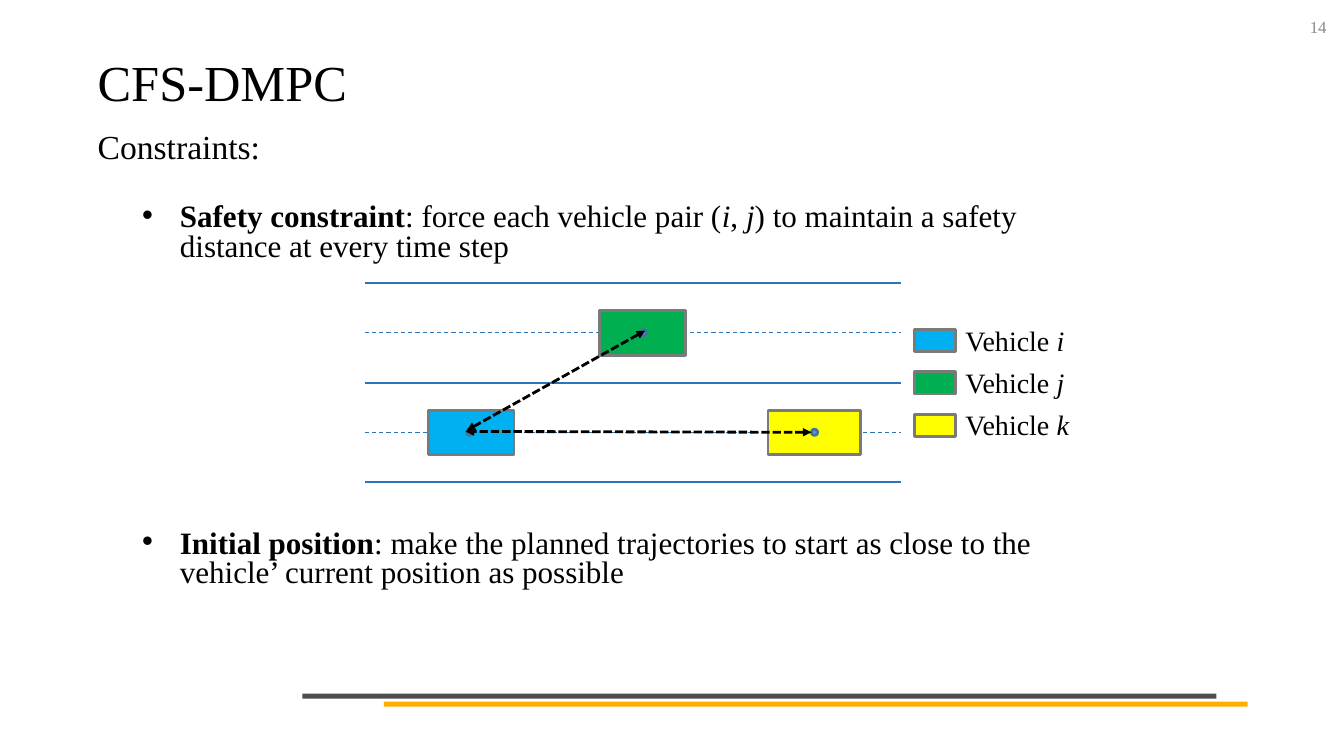
from lxml.etree import SubElement
from pptx import Presentation
from pptx.dml.color import RGBColor
from pptx.enum.dml import MSO_LINE
from pptx.enum.shapes import MSO_CONNECTOR, MSO_SHAPE
from pptx.enum.text import MSO_ANCHOR, PP_ALIGN
from pptx.oxml.ns import qn
from pptx.util import Pt

COLORS = {
    "text": "000000", "number": "888888", "amber": "FFAD00", "slate": "4D4D4D",
    "lane": "2E75B6", "edge": "7A7A7A", "i": "00B0F0", "j": "00B050", "k": "FFFF00",
    "dot": "5B9BD5", "dot_edge": "43739E",
}
FONT = "Times New Roman"
PLAIN, BOLD, ITALIC = {}, {"bold": True}, {"italic": True}


def rgb(name):
    return RGBColor.from_string(COLORS[name])


def apply(target, values):
    for key, value in values.items():
        setattr(target, key, value)


def add_block(slide, kind, box, fill, edge=None):
    block = slide.shapes.add_shape(kind, *map(Pt, box))
    block.shadow.inherit = False
    block.fill.solid()
    block.fill.fore_color.rgb = rgb(fill)
    if edge:
        block.line.color.rgb = rgb(edge)
        block.line.width = Pt(2)
    else:
        block.line.fill.background()


def add_line(slide, start, end, color, width, dash=None, arrows=False):
    line = slide.shapes.add_connector(MSO_CONNECTOR.STRAIGHT, *map(Pt, (*start, *end)))
    line.line.color.rgb = rgb(color)
    apply(line.line, {"width": Pt(width), "dash_style": dash})
    if arrows:
        for tag in ("a:headEnd", "a:tailEnd"):
            SubElement(line.line._ln, qn(tag), type="triangle")
    SubElement(line._element.spPr, qn("a:effectLst"))


def add_text(slide, box, runs, size, color="text", inset=3.6, frame_format=None,
             paragraph_format=None, bullet=False):
    frame = slide.shapes.add_textbox(*map(Pt, box)).text_frame
    apply(frame, {
        "word_wrap": True, "vertical_anchor": MSO_ANCHOR.MIDDLE,
        "margin_left": Pt(inset), "margin_right": Pt(inset),
        "margin_top": Pt(3.6), "margin_bottom": Pt(3.6), **(frame_format or {}),
    })
    paragraph = frame.paragraphs[0]
    if bullet:
        properties = paragraph._p.get_or_add_pPr()
        properties.set("marL", str(Pt(27)))
        properties.set("indent", str(-Pt(27)))
        SubElement(properties, qn("a:buFont"), typeface="Arial")
        SubElement(properties, qn("a:buChar"), char="•")
    apply(paragraph, paragraph_format or {})
    for words, style in runs:
        run = paragraph.add_run()
        run.text = words
        apply(run.font, {"name": FONT, "size": Pt(size), **style})
        run.font.color.rgb = rgb(color)


def add_frame(slide, width, height):
    add_block(slide, MSO_SHAPE.RECTANGLE, (274.3, height - 38.9, 617, 3.6), "amber")
    add_block(slide, MSO_SHAPE.RECTANGLE, (216, height - 44.6, 653, 3.6), "slate")
    add_text(slide, (width - 29, 8.6, 20.2, 21.6), [("14", PLAIN)], 12, "number",
             frame_format={"word_wrap": False},
             paragraph_format={"alignment": PP_ALIGN.RIGHT})


def add_headings(slide, left, top, width):
    for words, size, offset in (("CFS-DMPC", 36, 0), ("Constraints:", 24, 45.4)):
        add_text(slide, (left, top + offset, width, 52.6), [(words, PLAIN)], size,
                 paragraph_format={"line_spacing": 0.9})


def add_road(slide, left, top, width, height):
    gap = height / 4
    for row in range(5):
        y = top + row * gap
        divider = row % 2
        add_line(slide, (left, y), (left + width, y), "lane",
                 0.75 if divider else 1.5, MSO_LINE.DASH if divider else None)

    upper, lower = top + gap, top + 3 * gap
    vehicles = {"i": (45.4, lower, 61.2), "j": (167.8, upper, 61.2), "k": (288, lower, 66.2)}
    for vehicle, (offset, y, length) in vehicles.items():
        add_block(slide, MSO_SHAPE.RECTANGLE, (left + offset, y - 15.8, length, 31.7),
                  vehicle, "edge")
    for offset, y in ((75, lower), (321.2, lower), (198.8, upper)):
        add_block(slide, MSO_SHAPE.OVAL, (left + offset - 2.2, y - 2.2, 4.4, 4.4),
                  "dot", "dot_edge")
    for start, end in (((319, lower), (72, lower - 0.6)),
                       ((200.2, upper - 1.6), (72.8, lower - 1.4))):
        add_line(slide, (left + start[0], start[1]), (left + end[0], end[1]),
                 "text", 2, MSO_LINE.SQUARE_DOT, arrows=True)


def add_legend(slide, left, top, width, row_height):
    for row, vehicle in enumerate("ijk"):
        y = top + row * row_height
        add_block(slide, MSO_SHAPE.RECTANGLE, (left, y + 7.9, 29.5, 15.8), vehicle, "edge")
        add_text(slide, (left + 29.5, y, width - 29.5, 31.7),
                 [("Vehicle ", PLAIN), (vehicle, ITALIC)], 20, inset=7.2,
                 frame_format={"vertical_anchor": MSO_ANCHOR.TOP})


def add_constraint(slide, left, top, width, runs):
    add_text(slide, (left, top, width, 52.6), runs, 22.2, bullet=True,
             paragraph_format={"line_spacing": 0.8})


def main():
    deck = Presentation()
    apply(deck, {"slide_width": Pt(960), "slide_height": Pt(540)})
    slide = deck.slides.add_slide(deck.slide_layouts[6])
    add_frame(slide, 960, 540)
    add_headings(slide, 66.2, 34.6, 828)
    add_road(slide, 260.6, 202.3, 383, 142)
    add_legend(slide, 653, 227.5, 136.8, 30.2)
    add_constraint(slide, 97.9, 140.4, 692, [
        ("Safety constraint", BOLD), (": force each vehicle pair (", PLAIN), ("i", ITALIC),
        (", ", PLAIN), ("j", ITALIC),
        (") to maintain a safety distance at every time step", PLAIN)])
    add_constraint(slide, 97.9, 373.7, 692, [
        ("Initial position", BOLD),
        (": make the planned trajectories to start as close to the vehicle’ current "
         "position as possible", PLAIN)])
    deck.save("out.pptx")


if __name__ == "__main__":
    main()
